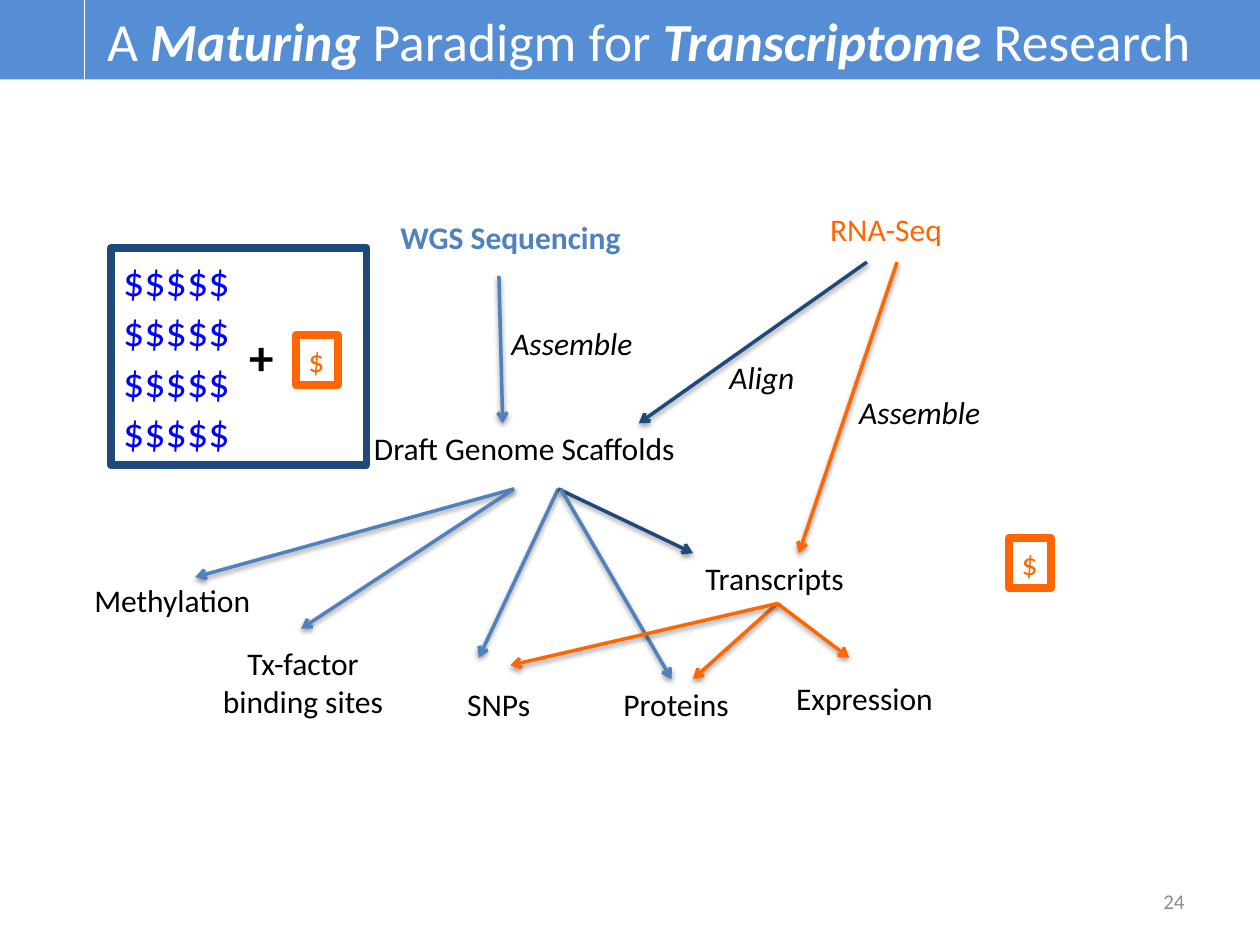
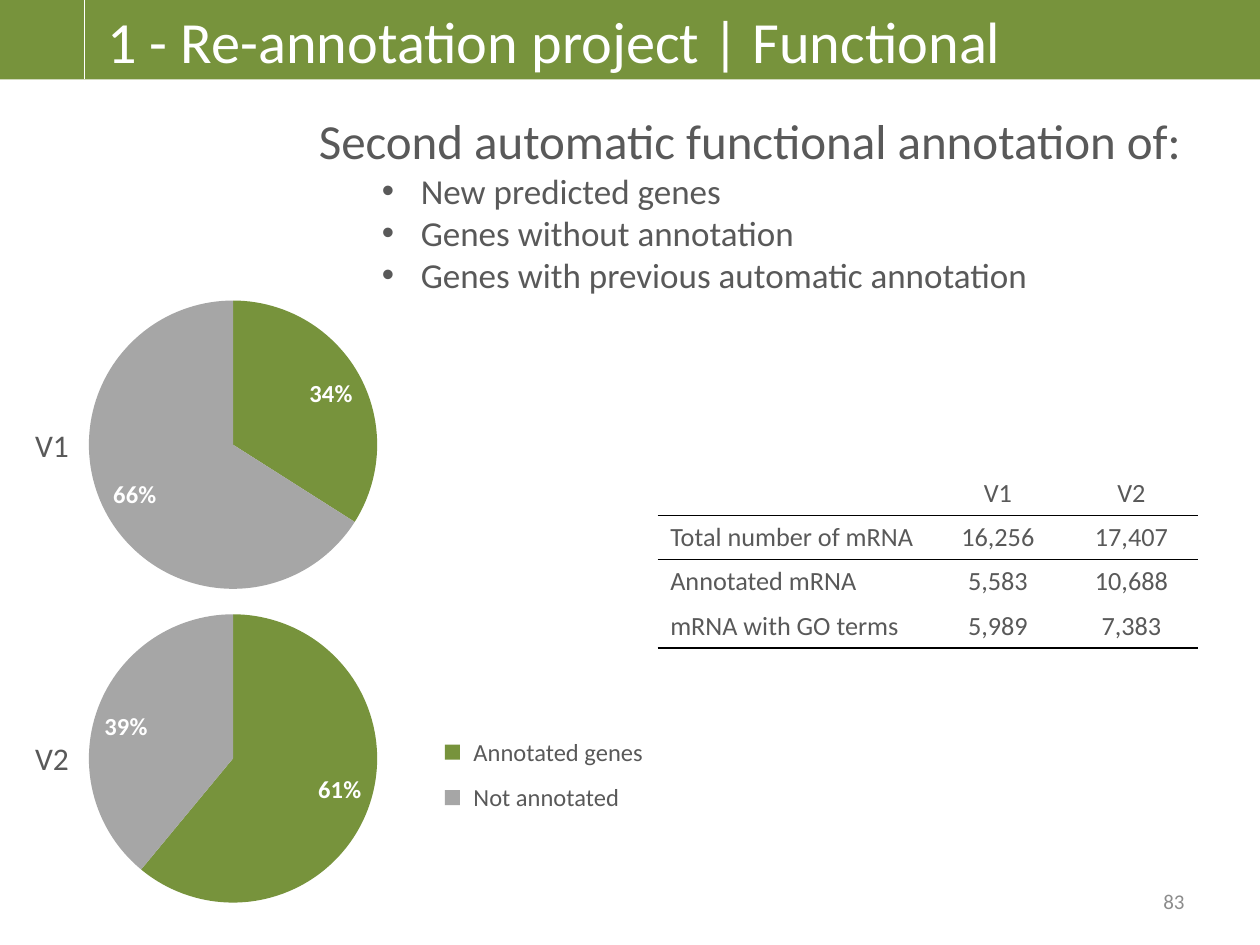
"""Build two slides on transcriptome research and gene re-annotation."""
from dataclasses import dataclass

from lxml import etree
from pptx import Presentation
from pptx.chart.data import CategoryChartData
from pptx.dml.color import RGBColor
from pptx.enum.chart import XL_CHART_TYPE, XL_LABEL_POSITION
from pptx.enum.shapes import MSO_CONNECTOR, MSO_SHAPE
from pptx.enum.text import MSO_ANCHOR, MSO_AUTO_SIZE, PP_ALIGN
from pptx.oxml.ns import qn
from pptx.util import Inches, Pt

LEFT, CENTER, RIGHT = PP_ALIGN.LEFT, PP_ALIGN.CENTER, PP_ALIGN.RIGHT
TOP, MIDDLE = MSO_ANCHOR.TOP, MSO_ANCHOR.MIDDLE
FIT, FIXED = MSO_AUTO_SIZE.SHAPE_TO_FIT_TEXT, MSO_AUTO_SIZE.NONE
RECT, STRAIGHT = MSO_SHAPE.RECTANGLE, MSO_CONNECTOR.STRAIGHT
PIE, INSIDE_END = XL_CHART_TYPE.PIE, XL_LABEL_POSITION.INSIDE_END
TITLE_AND_BODY, TITLE_ONLY = 1, 5


@dataclass(frozen=True)
class Theme:
    """Colours, font and type sizes."""
    font: str = "Calibri"
    black: str = "000000"
    white: str = "FFFFFF"
    gray: str = "595959"
    light_gray: str = "A6A6A6"
    number_gray: str = "8C8C8C"
    blue_band: str = "558ED5"
    blue: str = "4F81BD"
    navy: str = "1F497D"
    money_blue: str = "0000FF"
    orange: str = "FF6600"
    green: str = "77933C"
    number: float = 12
    small: float = 14
    cell: float = 15
    label: float = 18
    bullet: float = 20
    money: float = 24
    lead: float = 28
    long_title: float = 30.6
    title: float = 33.3


T = Theme()


@dataclass(frozen=True)
class Label:
    """A text with its box and style."""
    text: str
    box: tuple[float, float, float, float]
    color: str = T.black
    size: float = T.label
    bold: bool = False
    italic: bool = False
    align: PP_ALIGN = LEFT


@dataclass(frozen=True)
class Arrow:
    """A straight arrow between two points."""
    start: tuple[float, float]
    end: tuple[float, float]
    color: str = T.blue


@dataclass(frozen=True)
class Pie:
    """One annotation pie with its version name."""
    name: str
    top: float
    label_top: float
    shares: tuple[int, int]


GENOME_FORK, TRANSCRIPT_FORK = (4.43, 3.88), (6.17, 4.79)
METHOD_START = (4.08, 3.88)

DIAGRAM_LABELS = [
    Label("WGS Sequencing", (3.08, 1.68, 1.98, 0.4), T.blue, bold=True),
    Label("RNA-Seq", (6.49, 1.62, 1.1, 0.4), T.orange),
    Label("Assemble", (3.96, 2.52, 1.23, 0.4), italic=True),
    Label("Align", (5.69, 2.79, 0.79, 0.4), italic=True),
    Label("Assemble", (6.72, 3.07, 1.23, 0.4), italic=True),
    Label("Draft Genome Scaffolds", (2.87, 3.36, 2.63, 0.4)),
    Label("Transcripts", (5.5, 4.39, 1.34, 0.4)),
    Label("Methylation", (0.65, 4.56, 1.46, 0.4)),
    Label("Tx-factor\vbinding sites", (1.66, 5.06, 1.49, 0.71), align=CENTER),
    Label("SNPs", (3.61, 5.39, 0.71, 0.4)),
    Label("Proteins", (4.85, 5.39, 1.06, 0.4)),
    Label("Expression", (6.22, 5.34, 1.3, 0.4)),
]
ARROWS = [
    Arrow((3.96, 2.19), (3.99, 3.36)),
    Arrow(METHOD_START, (1.55, 4.58)),
    Arrow(METHOD_START, (2.39, 4.99)),
    Arrow(GENOME_FORK, (3.8, 5.22)),
    Arrow(GENOME_FORK, (5.5, 4.39), T.navy),
    Arrow((4.45, 3.88), (5.33, 5.39)),
    Arrow(TRANSCRIPT_FORK, (5.5, 5.39), T.orange),
    Arrow(TRANSCRIPT_FORK, (6.74, 5.22), T.orange),
    Arrow(TRANSCRIPT_FORK, (4.05, 5.28), T.orange),
    Arrow((6.88, 2.08), (5.07, 3.36), T.navy),
    Arrow((7.12, 2.08), (6.34, 4.39), T.orange),
]
COST_BOXES = [
    Label("\n".join(["$$$$$"] * 4), (0.88, 1.97, 2.03, 1.72), T.money_blue, T.money),
    Label("$", (8.01, 4.27, 0.33, 0.4), T.orange),
    Label("$", (2.35, 2.66, 0.33, 0.4), T.orange),
]
PIES = [Pie("V1", 2.25, 3.33, (34, 66)), Pie("V2", 4.74, 5.82, (61, 39))]
LEGEND = [("Annotated genes", T.green, 1.56), ("Not annotated", T.light_gray, 1.37)]
LEAD = "Second automatic functional annotation of:"
GENE_GROUPS = ["New predicted genes", "Genes without annotation",
               "Genes with previous automatic annotation"]
MRNA_ROWS = [
    ("", "V1", "V2"),
    ("Total number of mRNA", "16,256", "17,407"),
    ("Annotated mRNA", "5,583", "10,688"),
    ("mRNA with GO terms", "5,989", "7,383"),
]
RULED_ROWS = {0, 1, 3}


def rgb(color: str) -> RGBColor:
    """Return a colour from its hex code."""
    return RGBColor.from_string(color)


def inches(values) -> list:
    """Turn numbers into lengths."""
    return [Inches(v) for v in values]


def style(font, color: str, size: float, bold: bool = False, italic: bool = False) -> None:
    """Format one font."""
    font.name, font.size, font.color.rgb = T.font, Pt(size), rgb(color)
    font.bold, font.italic = bold, italic


def write(tf, label: Label) -> None:
    """Put a label's text into a frame and format it."""
    tf.text = label.text
    for p in tf.paragraphs:
        p.alignment = label.align
        for r in p.runs:
            style(r.font, label.color, label.size, label.bold, label.italic)


def place(sp, box) -> None:
    """Move a placeholder to a box."""
    sp.left, sp.top, sp.width, sp.height = inches(box)


def add_label(slide, label: Label) -> None:
    """Draw a text box that fits its text."""
    tf = slide.shapes.add_textbox(*inches(label.box)).text_frame
    write(tf, label)
    tf.word_wrap, tf.auto_size = False, FIT


def add_rect(slide, box, fill: str = "", line: str = ""):
    """Draw a rectangle, filled or outlined."""
    sp = slide.shapes.add_shape(RECT, *inches(box))
    sp.shadow.inherit = False
    if fill:
        sp.fill.solid()
        sp.fill.fore_color.rgb = rgb(fill)
    else:
        sp.fill.background()
    if line:
        sp.line.color.rgb, sp.line.width = rgb(line), Pt(4.5)
    else:
        sp.line.fill.background()
    return sp


def add_line(slide, start, end, color: str, width: float):
    """Draw a line and return it with its empty effect list."""
    cx = slide.shapes.add_connector(STRAIGHT, *inches(start + end))
    cx.line.color.rgb, cx.line.width = rgb(color), Pt(width)
    effects = etree.SubElement(cx.element.spPr, qn("a:effectLst"))
    return cx, effects


def add_arrow(slide, arrow: Arrow) -> None:
    """Draw an arrow with a soft shadow below it."""
    cx, effects = add_line(slide, arrow.start, arrow.end, arrow.color, 2)
    etree.SubElement(cx.element.spPr.find(qn("a:ln")), qn("a:tailEnd"), type="arrow")
    shadow = etree.SubElement(effects, qn("a:outerShdw"), blurRad=str(Pt(3.1)),
                              dist=str(Pt(1.6)), dir="5400000", rotWithShape="0")
    color = etree.SubElement(shadow, qn("a:srgbClr"), val=T.black)
    etree.SubElement(color, qn("a:alpha"), val="38000")


def add_cost_box(slide, label: Label) -> None:
    """Draw an outlined box of dollar signs."""
    line = T.orange if label.color == T.orange else T.navy
    tf = add_rect(slide, label.box, line=line).text_frame
    write(tf, label)
    tf.vertical_anchor, tf.word_wrap = TOP, line == T.navy
    tf.auto_size = FIT


def start_slide(prs, layout: int, band: str, title, size: float, number: str):
    """Add a slide with band, title and number; odd title parts are emphasised."""
    slide = prs.slides.add_slide(prs.slide_layouts[layout])
    add_rect(slide, (0, 0, 10, 0.63), fill=band)
    sp = slide.shapes.title
    slide.shapes.element.append(sp.element)
    place(sp, (0.75, 0.05, 9.21, 0.54))
    tf = sp.text_frame
    tf.margin_top = tf.margin_bottom = 0
    tf.vertical_anchor, tf.word_wrap, tf.auto_size = MIDDLE, True, FIXED
    p = tf.paragraphs[0]
    p.alignment = LEFT
    for i, part in enumerate(title):
        r = p.add_run()
        r.text = part
        style(r.font, T.white, size, i % 2 == 1, i % 2 == 1)
    add_line(slide, (0.67, 0), (0.67, 0.63), T.white, 0.75)
    box = (7.17, 6.95, 2.33, 0.4)
    tf = slide.shapes.add_textbox(*inches(box)).text_frame
    write(tf, Label(number, box, T.number_gray, T.number, align=RIGHT))
    tf.word_wrap, tf.vertical_anchor = True, MIDDLE
    return slide


def fill_body(slide) -> None:
    """Write the lead line and its bullets."""
    sp = slide.placeholders[1]
    place(sp, (2.43, 0.83, 7.13, 1.58))
    tf = sp.text_frame
    tf.text = "\n".join([LEAD, *GENE_GROUPS])
    tf.word_wrap, tf.auto_size = False, FIT
    for i, p in enumerate(tf.paragraphs):
        pPr = p._p.get_or_add_pPr()
        pPr.set("marL", str(Inches(0.81) if i else 0))
        pPr.set("indent", str(Inches(-0.31) if i else 0))
        if i:
            p.level = 1
            etree.SubElement(pPr, qn("a:buFont"), typeface="Arial")
            etree.SubElement(pPr, qn("a:buChar"), char="•")
        else:
            etree.SubElement(pPr, qn("a:buNone"))
        p.space_before = Pt(0)
        style(p.runs[0].font, T.gray, T.bullet if i else T.lead)


def add_pie(slide, pie: Pie) -> None:
    """Draw a pie with percent labels and its version name."""
    data = CategoryChartData()
    data.categories = ["1", "2"]
    data.add_series("Series 1", pie.shares)
    box = inches((0.47, pie.top, 2.76, 2.56))
    chart = slide.shapes.add_chart(PIE, *box, data).chart
    chart.has_title = chart.has_legend = False
    style(chart.font, T.black, 10)
    plot = chart.plots[0]
    plot.vary_by_categories = True
    for i, (_, color, _) in enumerate(LEGEND):
        fill = plot.series[0].points[i].format.fill
        fill.solid()
        fill.fore_color.rgb = rgb(color)
    plot.has_data_labels = True
    labels = plot.data_labels
    labels.show_percentage, labels.show_value = True, False
    labels.number_format, labels.number_format_is_linked = "0%", False
    labels.position = INSIDE_END
    style(labels.font, T.white, T.small, bold=True)
    area = chart.element.find(".//" + qn("c:plotArea"))
    for old in area.findall(qn("c:layout")):
        area.remove(old)
    layout = etree.Element(qn("c:layout"))
    area.insert(0, layout)
    manual = etree.SubElement(layout, qn("c:manualLayout"))
    for tag, val in (("layoutTarget", "inner"), ("xMode", "edge"), ("yMode", "edge"),
                     ("x", "0.085"), ("y", "0.053"), ("w", "0.83"), ("h", "0.894")):
        etree.SubElement(manual, qn("c:" + tag), val=val)
    add_label(slide, Label(pie.name, (0.18, pie.label_top, 0.47, 0.4), T.gray))


def add_border(tcPr, side: str, ruled: bool) -> None:
    """Set one cell border, black or absent."""
    ln = etree.SubElement(tcPr, qn("a:" + side), w=str(Pt(1)))
    fill = etree.SubElement(ln, qn("a:solidFill" if ruled else "a:noFill"))
    if ruled:
        etree.SubElement(fill, qn("a:srgbClr"), val=T.black)


def add_mrna_table(slide) -> None:
    """Draw the mRNA counts with ruled rows."""
    box = (5.22, 3.74, 4.29, 1.4)
    table = slide.shapes.add_table(len(MRNA_ROWS), 3, *inches(box)).table
    table.first_row = table.horz_banding = False
    for col, width in zip(table.columns, (2.17, 1.06, 1.06)):
        col.width = Inches(width)
    for i, row in enumerate(MRNA_ROWS):
        table.rows[i].height = Inches(0.35)
        for j, text in enumerate(row):
            cell = table.cell(i, j)
            tf = cell.text_frame
            write(tf, Label(text, box, T.gray, T.cell, align=CENTER if j else LEFT))
            if not text:
                etree.SubElement(tf.paragraphs[0]._p, qn("a:endParaRPr"), sz=str(T.cell * 100))
            tcPr = cell._tc.get_or_add_tcPr()
            for side, ruled in (("lnL", False), ("lnR", False),
                                ("lnT", i - 1 in RULED_ROWS), ("lnB", i in RULED_ROWS)):
                add_border(tcPr, side, ruled)
            cell.fill.background()


def build_paradigm(prs) -> None:
    """Build the sequencing diagram slide."""
    title = ["A ", "Maturing", " Paradigm for ", "Transcriptome", " Research"]
    slide = start_slide(prs, TITLE_ONLY, T.blue_band, title, T.long_title, "24")
    for label in DIAGRAM_LABELS:
        add_label(slide, label)
    for arrow in ARROWS:
        add_arrow(slide, arrow)
    for label in COST_BOXES:
        add_cost_box(slide, label)
    add_label(slide, Label("+", (1.88, 2.54, 0.4, 0.57), size=T.lead, bold=True))


def build_annotation(prs) -> None:
    """Build the functional annotation slide."""
    title = ["1 - Re-annotation project | Functional"]
    slide = start_slide(prs, TITLE_AND_BODY, T.green, title, T.title, "83")
    fill_body(slide)
    for pie in PIES:
        add_pie(slide, pie)
    for i, (text, color, width) in enumerate(LEGEND):
        top = 5.8 + 0.36 * i
        add_label(slide, Label(text, (3.66, top, width, 0.34), T.gray, T.small))
        add_rect(slide, (3.53, top + 0.11, 0.12, 0.12), fill=color)
    add_mrna_table(slide)


def main() -> None:
    """Build and save the deck."""
    prs = Presentation()
    prs.slide_width, prs.slide_height = Inches(10), Inches(7.5)
    build_paradigm(prs)
    build_annotation(prs)
    prs.save("out.pptx")


if __name__ == "__main__":
    main()
